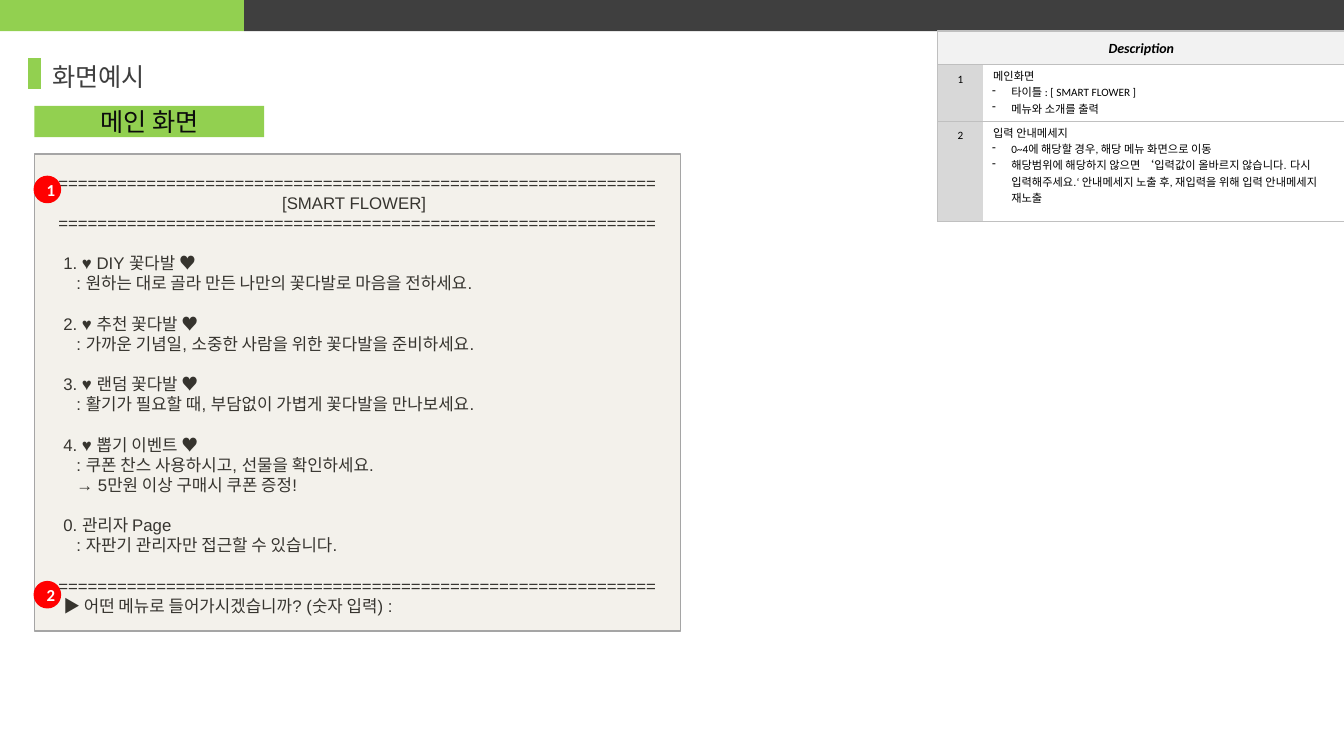
"""Build the main screen example slide of a flower shop console program."""
from lxml import etree
from pptx import Presentation
from pptx.dml.color import RGBColor
from pptx.enum.shapes import MSO_CONNECTOR, MSO_SHAPE
from pptx.enum.text import MSO_ANCHOR, PP_ALIGN
from pptx.oxml.ns import qn
from pptx.util import Inches, Pt

RECTANGLE, OVAL = MSO_SHAPE.RECTANGLE, MSO_SHAPE.OVAL
STRAIGHT = MSO_CONNECTOR.STRAIGHT
TOP, MIDDLE = MSO_ANCHOR.TOP, MSO_ANCHOR.MIDDLE
LEFT, CENTER = PP_ALIGN.LEFT, PP_ALIGN.CENTER
NO_STYLE = "{2D5ABB26-0587-4C30-8999-92F81FD0307C}"
COLORS = {
    "green": "92D050", "dark": "3F3F3F", "sand": "D2CAB5", "frame": "A5A5A5",
    "border": "C0C0C0", "edge": "BFBFBF", "header": "F2F2F2", "number": "D8D8D8",
    "red": "FF0000", "white": "FFFFFF", "black": "000000", "ink": "0C0C0C",
}
RULE = "=" * 61
CONSOLE_PITCH = Pt(14.4)
TITLE_INDENT, ITEM_INDENT, DETAIL_INDENT = 2.22, 0.05, 0.18
MENU = [
    ("1. ♥ DIY 꽃다발 ♥", [": 원하는 대로 골라 만든 나만의 꽃다발로 마음을 전하세요."]),
    ("2. ♥ 추천 꽃다발 ♥", [": 가까운 기념일, 소중한 사람을 위한 꽃다발을 준비하세요."]),
    ("3. ♥ 랜덤 꽃다발 ♥", [": 활기가 필요할 때, 부담없이 가볍게 꽃다발을 만나보세요."]),
    ("4. ♥ 뽑기 이벤트 ♥", [": 쿠폰 찬스 사용하시고, 선물을 확인하세요.",
                       "→ 5만원 이상 구매시 쿠폰 증정!"]),
    ("0. 관리자 Page", [": 자판기 관리자만 접근할 수 있습니다."]),
]
DESCRIPTIONS = [
    ("메인화면", [[("타이틀 : [ SMART FLOWER ]", "Calibri")],
              [("메뉴와 소개를 출력", "Calibri")]]),
    ("입력 안내메세지", [
        [("0~4에 해당할 경우, 해당 메뉴 화면으로 이동", "Calibri")],
        [("해당범위에 해당하지 않으면 ‘", "Calibri"),
         ("입력값이 올바르지 않습니다. 다시 입력해주세요.", "Arial"),
         ("‘ 안내메세지 노출 후, 재입력을 위해 입력 안내메세지 재노출", "Calibri")],
    ]),
]


def color(name):
    """Return the named colour."""
    return RGBColor.from_string(COLORS[name])


def set_margins(target, margins):
    """Set left, top, right and bottom margins of a frame or cell."""
    for side, value in zip(("left", "top", "right", "bottom"), margins):
        setattr(target, f"margin_{side}", Inches(value))


def add_span(para, text, size, ink, name="Arial", **style):
    """Add one formatted run to a paragraph."""
    span = para.add_run()
    span.text = text
    span.font.color.rgb = color(ink)
    for key, value in {"size": Pt(size), "name": name, **style}.items():
        setattr(span.font, key, value)


def add_block(page, kind, place, fill, line=None):
    """Add a filled preset shape with an optional one-point outline."""
    block = page.shapes.add_shape(kind, *map(Inches, place))
    block.shadow.inherit = False
    block.fill.solid()
    block.fill.fore_color.rgb = color(fill)
    if line:
        block.line.color.rgb = color(line)
        block.line.width = Pt(1)
    else:
        block.line.fill.background()
    return block


def add_label(block, text, size, ink, margins=(0.1, 0.05, 0.1, 0.05), **style):
    """Write centred text into a shape."""
    frame = block.text_frame
    frame.vertical_anchor = MIDDLE
    set_margins(frame, margins)
    para = frame.paragraphs[0]
    para.alignment = CENTER
    add_span(para, text, size, ink, **style)


def add_text_box(page, place, margins, anchor):
    """Add a wrapping text box and return its frame."""
    frame = page.shapes.add_textbox(*map(Inches, place)).text_frame
    frame.word_wrap = True
    frame.vertical_anchor = anchor
    set_margins(frame, margins)
    return frame


def indent(para, left, first=0):
    """Set the left and first-line indents of a paragraph."""
    properties = para._p.get_or_add_pPr()
    properties.set("marL", str(Inches(left)))
    properties.set("indent", str(Inches(first)))
    return properties


def add_console(page):
    """Write the lines of the console screen."""
    frame = add_text_box(page, (0.48, 1.61, 8.09, 4.57), (0.1,) * 4, TOP)
    lines = [(RULE, 0, False), ("[SMART FLOWER]", TITLE_INDENT, False), (RULE, 0, False)]
    for heading, details in MENU:
        lines.append((heading, ITEM_INDENT, True))
        lines += [(detail, DETAIL_INDENT, False) for detail in details]
    lines += [(RULE, 0, True),
              ("▶ 어떤 메뉴로 들어가시겠습니까? (숫자 입력) :", ITEM_INDENT, False)]
    for index, (text, left, gap) in enumerate(lines):
        para = frame.add_paragraph() if index else frame.paragraphs[0]
        indent(para, left)
        para.line_spacing = CONSOLE_PITCH
        if gap:
            para.space_before = CONSOLE_PITCH
        add_span(para, text, 12, "black")


def add_panel(page):
    """Add the translucent console panel."""
    panel = add_block(page, RECTANGLE, (0.34, 1.53, 6.41, 4.73), "sand", "frame")
    shade = panel._element.spPr.find(qn("a:solidFill"))[0]
    etree.SubElement(shade, qn("a:alpha")).set("val", "26000")


def add_title(page):
    """Add the slide title with its green bar."""
    frame = add_text_box(page, (0.52, 0.32, 4.64, 0.88), (0,) * 4, MIDDLE)
    add_span(frame.paragraphs[0], "화면예시", 18, "dark")
    bar = page.shapes.add_connector(
        STRAIGHT, Inches(0.34), Inches(0.58), Inches(0.34), Inches(0.88))
    bar.line.color.rgb = color("green")
    bar.line.width = Pt(9)
    etree.SubElement(bar._element.spPr, qn("a:effectLst"))


def style_cell(cell, fill, sides, margins):
    """Set borders, fill and margins of a top-anchored table cell."""
    properties = cell._tc.get_or_add_tcPr()
    for side in sides:
        border = etree.SubElement(properties, qn(f"a:ln{side}"), w=str(Pt(0.75)))
        paint = etree.SubElement(border, qn("a:solidFill"))
        etree.SubElement(paint, qn("a:srgbClr"), val=COLORS["border"])
    cell.fill.solid()
    cell.fill.fore_color.rgb = color(fill)
    cell.vertical_anchor = TOP
    set_margins(cell, margins)


def add_bullet(frame, spans):
    """Add a dash-bulleted paragraph to a table cell."""
    para = frame.add_paragraph()
    properties = indent(para, 0.28, -0.19)
    tint = etree.SubElement(properties, qn("a:buClr"))
    etree.SubElement(tint, qn("a:srgbClr"), val=COLORS["black"])
    etree.SubElement(properties, qn("a:buChar"), char="-")
    for text, name in spans:
        add_span(para, text, 8, "black", name)


def add_descriptions(page):
    """Add the numbered description table."""
    table = page.shapes.add_table(
        len(DESCRIPTIONS), 2, *map(Inches, (9.3, 0.64, 4.04, 1.56))).table
    table.first_row = table.horz_banding = False
    table._tbl.tblPr.find(qn("a:tableStyleId")).text = NO_STYLE
    for column, width in zip(table.columns, (0.45, 3.59)):
        column.width = Inches(width)
    for row, height in zip(table.rows, (0.56, 1)):
        row.height = Inches(height)
    for index, (heading, bullets) in enumerate(DESCRIPTIONS):
        number, detail = table.cell(index, 0), table.cell(index, 1)
        style_cell(number, "number", "LTB", (0.04, 0.08, 0.04, 0.08))
        style_cell(detail, "white", "RTB", (0, 0.03, 0, 0.03))
        for cell, text, left, alignment in (
                (number, str(index + 1), 0, CENTER), (detail, heading, 0.1, LEFT)):
            para = cell.text_frame.paragraphs[0]
            para.alignment = alignment
            indent(para, left)
            add_span(para, text, 8, "black", "Calibri")
        for spans in bullets:
            add_bullet(detail.text_frame, spans)


def main():
    """Build and save the deck."""
    deck = Presentation()
    deck.slide_width, deck.slide_height = Inches(13.33), Inches(7.5)
    page = deck.slides.add_slide(deck.slide_layouts[6])
    add_console(page)
    add_block(page, RECTANGLE, (0, 0, 2.42, 0.31), "green")
    add_block(page, RECTANGLE, (2.42, 0, 10.91, 0.31), "dark")
    add_panel(page)
    add_title(page)
    add_descriptions(page)
    header = add_block(page, RECTANGLE, (9.3, 0.31, 4.04, 0.33), "header", "edge")
    add_label(header, "Description", 10, "black", (0.07, 0.08, 0.07, 0.08),
              name="Calibri", bold=True, italic=True)
    for number, top in (("1", 1.75), ("2", 5.77)):
        marker = add_block(page, OVAL, (0.34, top, 0.26, 0.26), "red", "red")
        add_label(marker, number, 12, "white", name="Calibri", bold=True)
    banner = add_block(page, RECTANGLE, (0.34, 1.05, 2.28, 0.31), "green")
    add_label(banner, "메인 화면", 18, "ink")
    deck.save("out.pptx")


if __name__ == "__main__":
    main()
